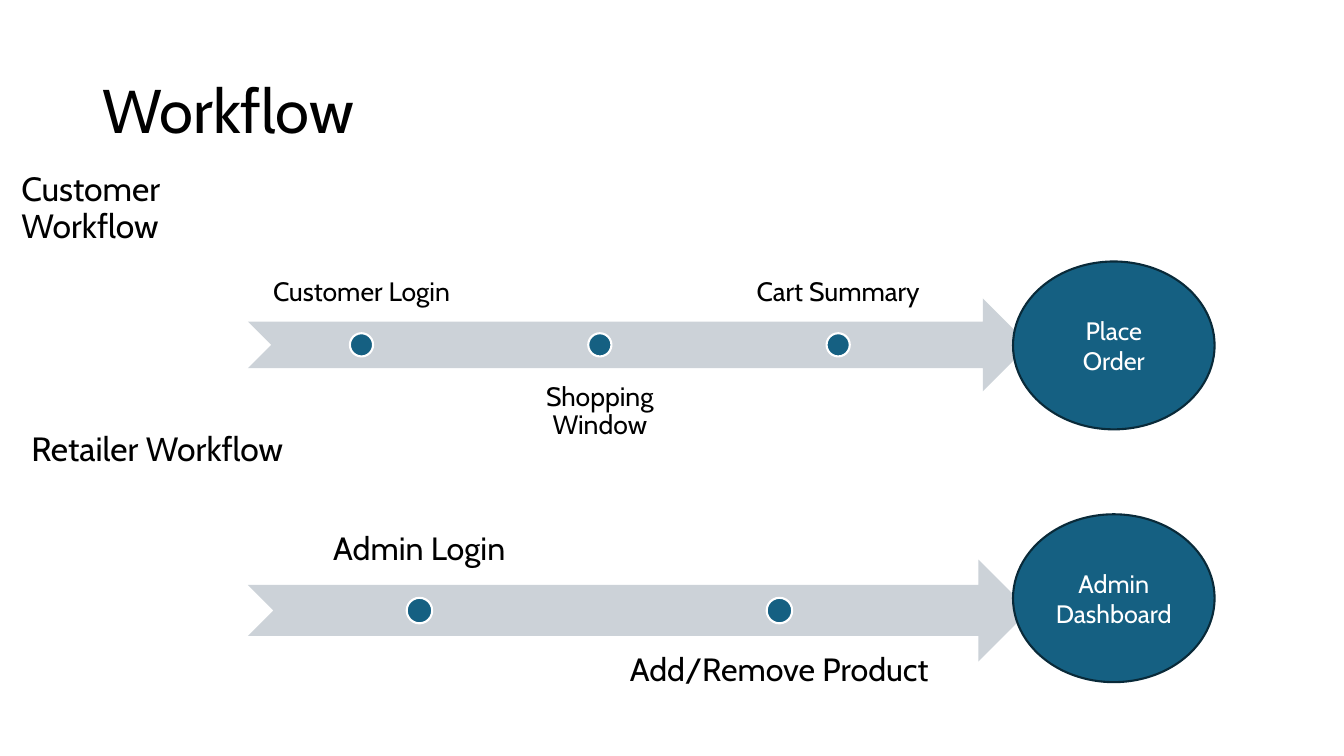
import pptx
import pptx.util
import pptx.dml.color
import pptx.enum.shapes
import pptx.enum.text

Cm = pptx.util.Cm
Pt = pptx.util.Pt
SHAPE = pptx.enum.shapes.MSO_SHAPE
ANCHOR = pptx.enum.text.MSO_ANCHOR
ALIGN = pptx.enum.text.PP_ALIGN

BLUE = "156082"
NAVY = "092A39"
GREY = "CCD2D8"
WHITE = "FFFFFF"
BLACK = "000000"


def rgb(value):
    return pptx.dml.color.RGBColor.from_string(value)


def write(sp, text, size, color=BLACK, align=ALIGN.LEFT, anchor=ANCHOR.MIDDLE,
          spacing=0.9, inset=None):
    tf = sp.text_frame
    tf.word_wrap = True
    tf.vertical_anchor = anchor
    if inset is not None:
        tf.margin_left = tf.margin_right = Cm(inset)
        tf.margin_top = tf.margin_bottom = Cm(inset)
    p = tf.paragraphs[0]
    p.alignment = align
    p.line_spacing = spacing
    r = p.add_run()
    r.text = text
    r.font.name = "Cabin"
    r.font.size = Pt(size)
    r.font.color.rgb = rgb(color)


def add_text(shapes, left, top, width, height, text, size, **fmt):
    sp = shapes.add_textbox(Cm(left), Cm(top), Cm(width), Cm(height))
    write(sp, text, size, **fmt)


def add_filled(shapes, kind, left, top, width, height, fill, line=None):
    sp = shapes.add_shape(kind, Cm(left), Cm(top), Cm(width), Cm(height))
    sp.shadow.inherit = False
    sp.fill.solid()
    sp.fill.fore_color.rgb = rgb(fill)
    if line:
        sp.line.color.rgb = rgb(line)
        sp.line.width = Pt(1.5)
    else:
        sp.line.fill.background()
    return sp


def add_timeline(s, top, height, label_width, steps, size, inset):
    shapes = s.shapes.add_group_shape().shapes
    left = 6.25
    dot = height / 4
    add_filled(shapes, SHAPE.NOTCHED_RIGHT_ARROW, left, top, 19.69, height, GREY)
    for i, step in enumerate(steps):
        x = left + i * label_width * 1.05
        above = i % 2 == 0
        label_top = top + height * (-0.75 if above else 0.75)
        add_text(shapes, x, label_top, label_width, height, step, size,
                 align=ALIGN.CENTER, inset=inset,
                 anchor=ANCHOR.BOTTOM if above else ANCHOR.TOP)
        add_filled(shapes, SHAPE.OVAL, x + (label_width - dot) / 2,
                   top + (height - dot) / 2, dot, dot, BLUE, WHITE)


def add_goal(s, top, text):
    sp = add_filled(s.shapes, SHAPE.OVAL, 25.53, top, 5.08, 4.23, BLUE, NAVY)
    write(sp, text, 18, color=WHITE, align=ALIGN.CENTER, spacing=1.0)


def main():
    prs = pptx.Presentation()
    prs.slide_width = Cm(33.87)
    prs.slide_height = Cm(19.05)
    s = prs.slides.add_slide(prs.slide_layouts[6])

    add_text(s.shapes, 2.33, 1.01, 29.21, 3.68, "Workflow", 44)
    add_timeline(s, 7.52, 2.34, 5.72,
                 ["Customer Login", "Shopping Window", "Cart Summary"], 19, 0.38)
    add_timeline(s, 14.1, 2.57, 8.64,
                 ["Admin Login", "Add/Remove Product"], 23, 0.46)
    add_text(s.shapes, 0.29, 3.95, 7.4, 2.64, "Customer Workflow", 24)
    add_text(s.shapes, 0.54, 10.04, 6.95, 2.64, "Retailer Workflow", 24)
    add_goal(s, 6.59, "Place Order")
    add_goal(s, 12.96, "Admin Dashboard")

    prs.save("out.pptx")


if __name__ == "__main__":
    main()
